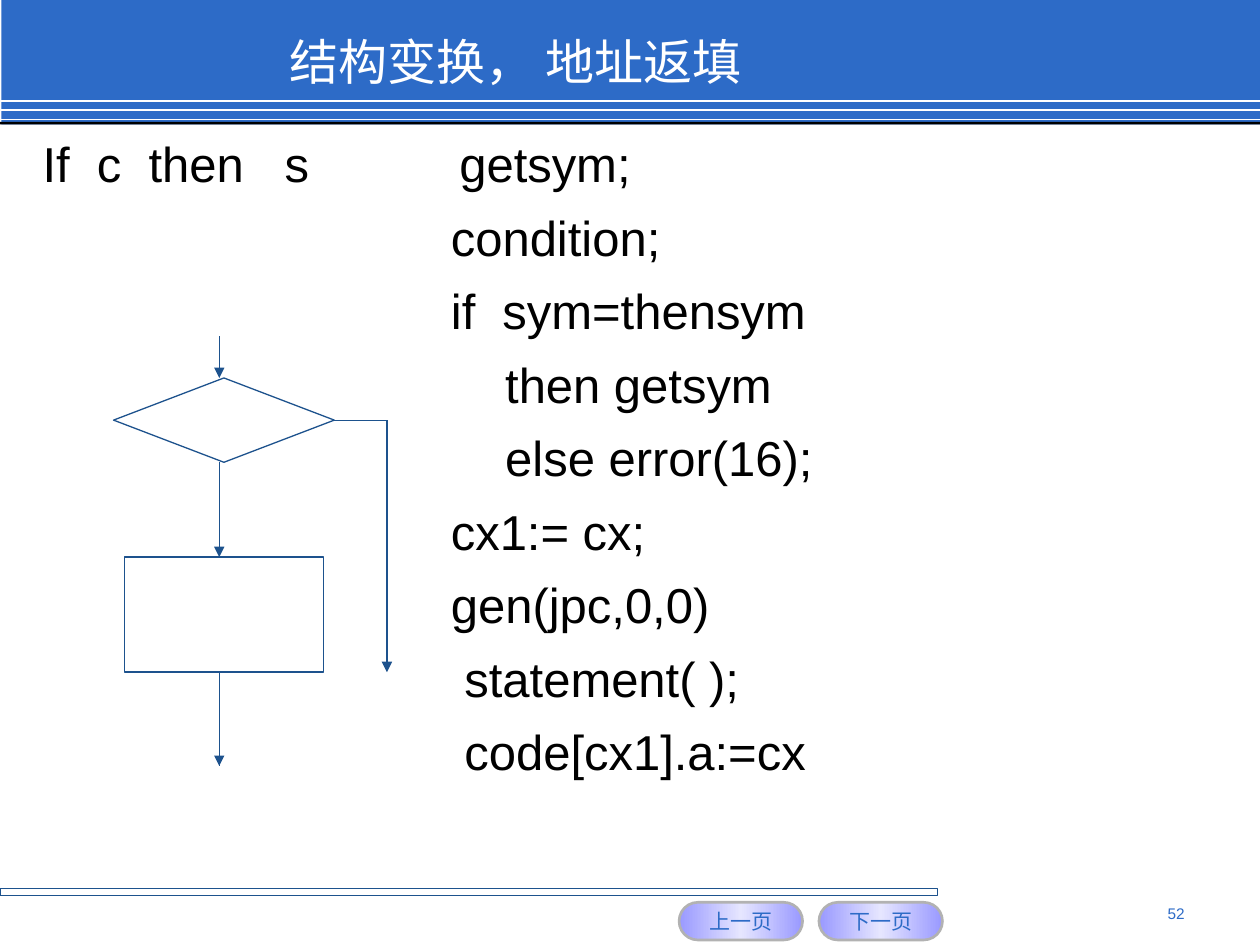
from copy import deepcopy

from lxml import etree
from pptx import Presentation
from pptx.dml.color import RGBColor
from pptx.enum import shapes, text
from pptx.oxml import ns
from pptx.util import Cm, Pt

BLUE = RGBColor(0x2D, 0x6B, 0xC7)
OUTLINE = RGBColor(0x1D, 0x52, 0x8D)
LILAC = RGBColor(0x99, 0x99, 0xFF)
PALE = RGBColor(0xE6, 0xE6, 0xFF)
GREY = RGBColor(0xB2, 0xB2, 0xB2)
WHITE = RGBColor(0xFF, 0xFF, 0xFF)
BLACK = RGBColor(0, 0, 0)
FONT = "Arial"

# Content
TITLE = "结构变换， 地址返填"
PAGE_NUMBER = "52"
BUTTONS = ["上一页", "下一页"]
STATEMENT = "If  c  then   s\tgetsym;"
CODE = [
    "condition;",
    "if  sym=thensym",
    "    then getsym",
    "    else error(16);",
    "cx1:= cx;",
    "gen(jpc,0,0)",
    " statement( );",
    " code[cx1].a:=cx",
]

# Positions in cm
WIDTH, HEIGHT = 25.4, 19.05
CODE_INDENT, GETSYM_TAB = 8.23, 8.4
FLOW_X, BYPASS_X = 4.42, 7.8
DECISION = (2.29, 7.62, 4.45, 1.7)
ACTION = (2.51, 11.23, 4.01, 2.32)
decision_mid = DECISION[1] + DECISION[3] / 2
decision_bottom = DECISION[1] + DECISION[3]
action_bottom = ACTION[1] + ACTION[3]
FLOW_END = 15.44
# x1, y1, x2, y2, arrowhead
FLOW_LINES = [
    (FLOW_X, 6.78, FLOW_X, DECISION[1], True),
    (FLOW_X, decision_bottom, FLOW_X, ACTION[1], True),
    (BYPASS_X, decision_mid, BYPASS_X, action_bottom, True),
    (FLOW_X, action_bottom, FLOW_X, FLOW_END, False),
    (FLOW_X, 14.81, FLOW_X, FLOW_END, True),
]


def add_box(slide, kind, box, fill=None, line=None, weight=0.75):
    shape = slide.shapes.add_shape(kind, *map(Cm, box))
    shape.shadow.inherit = False
    if fill is None:
        shape.fill.background()
    else:
        shape.fill.solid()
        shape.fill.fore_color.rgb = fill
    if line is None:
        shape.line.fill.background()
    else:
        shape.line.color.rgb = line
        shape.line.width = Pt(weight)
    return shape


def add_line(slide, x1, y1, x2, y2, arrow=False, color=OUTLINE, weight=0.75):
    line = slide.shapes.add_connector(
        shapes.MSO_CONNECTOR.STRAIGHT, *map(Cm, (x1, y1, x2, y2)))
    line.line.color.rgb = color
    line.line.width = Pt(weight)
    if arrow:
        etree.SubElement(line.line._get_or_add_ln(), ns.qn("a:tailEnd"), type="triangle")
    etree.SubElement(line._element.spPr, ns.qn("a:effectLst"))
    return line


def write(paragraph, words, size, color, align=text.PP_ALIGN.LEFT):
    paragraph.text = words
    paragraph.alignment = align
    for run in paragraph.runs:
        run.font.name = FONT
        run.font.size = Pt(size)
        run.font.color.rgb = color


def fill_gradient(shape, colors):
    shape.fill.gradient()
    shape.fill.gradient_angle = 0
    first = shape._element.spPr.find(".//" + ns.qn("a:gs"))
    first.addnext(deepcopy(first))
    for i, (stop, color) in enumerate(zip(shape.fill.gradient_stops, colors)):
        stop.position = i / (len(colors) - 1)
        stop.color.rgb = color


def draw_frame(slide):
    # Header band
    rect = shapes.MSO_SHAPE.RECTANGLE
    add_box(slide, rect, (0.03, 0, WIDTH - 0.03, 2.51), BLUE)
    for i in range(3):
        y = 2.03 + 0.19 * i
        add_line(slide, 0, y, WIDTH, y, color=WHITE, weight=1)
    add_box(slide, rect, (0, 2.46, WIDTH, 0.05), BLACK)

    # Footer bar, buttons and page number
    add_box(slide, rect, (0, 17.91, 18.9, 0.15), line=OUTLINE)
    for i, label in enumerate(BUTTONS):
        button = add_box(slide, shapes.MSO_SHAPE.ROUNDED_RECTANGLE,
                         (13.69 + 2.82 * i, 18.19, 2.49, 0.76), line=GREY, weight=1.5)
        button.adjustments[0] = 0.5
        fill_gradient(button, [LILAC, PALE, LILAC])
        frame = button.text_frame
        frame.word_wrap = False
        frame.vertical_anchor = text.MSO_ANCHOR.MIDDLE
        write(frame.paragraphs[0], label, 12, BLUE, text.PP_ALIGN.CENTER)
    number = slide.shapes.add_textbox(Cm(18.21), Cm(18.11), Cm(5.92), Cm(0.69))
    number.text_frame.word_wrap = True
    write(number.text_frame.paragraphs[0], PAGE_NUMBER, 8.8, BLUE, text.PP_ALIGN.RIGHT)


def place_title(slide):
    title = slide.shapes.title
    title.left, title.top, title.width, title.height = map(Cm, (5.59, 0.53, 17.45, 1.4))
    title.text_frame.vertical_anchor = text.MSO_ANCHOR.MIDDLE
    write(title.text_frame.paragraphs[0], TITLE, 28, WHITE)
    # Bring the title in front of the header band
    slide.shapes._spTree.append(title._element)


def write_code(slide):
    frame = slide.shapes.add_textbox(Cm(0.61), Cm(2.57), Cm(23.88), Cm(15.5)).text_frame
    frame.word_wrap = True
    statement = frame.paragraphs[0]
    tabs = etree.SubElement(statement._p.get_or_add_pPr(), ns.qn("a:tabLst"))
    etree.SubElement(tabs, ns.qn("a:tab"), pos=str(Cm(GETSYM_TAB)), algn="l")
    write(statement, STATEMENT, 28, BLACK)
    for code_line in CODE:
        paragraph = frame.add_paragraph()
        paragraph._p.get_or_add_pPr().set("marL", str(Cm(CODE_INDENT)))
        write(paragraph, code_line, 28, BLACK)
        paragraph.space_before = Pt(8.4)


def draw_flowchart(slide):
    decision = add_box(slide, shapes.MSO_SHAPE.FLOWCHART_DECISION, DECISION, line=OUTLINE)
    add_box(slide, shapes.MSO_SHAPE.RECTANGLE, ACTION, line=OUTLINE)
    for flow_line in FLOW_LINES:
        add_line(slide, *flow_line)
    bypass = add_line(slide, DECISION[0] + DECISION[2], decision_mid, BYPASS_X, decision_mid)
    bypass.begin_connect(decision, 3)


def main():
    deck = Presentation()
    deck.slide_width, deck.slide_height = Cm(WIDTH), Cm(HEIGHT)
    slide = deck.slides.add_slide(deck.slide_layouts[5])
    draw_frame(slide)
    place_title(slide)
    write_code(slide)
    draw_flowchart(slide)
    deck.save("out.pptx")


if __name__ == "__main__":
    main()
